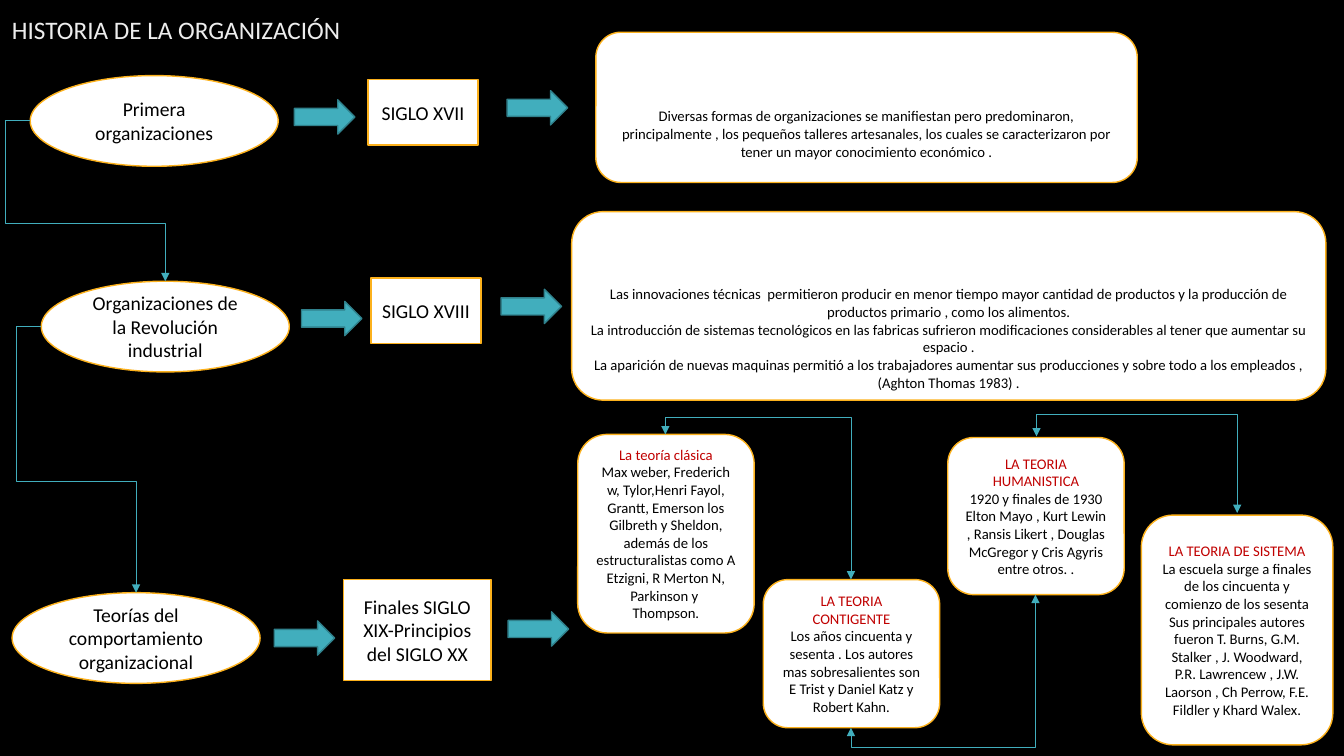
from pptx import Presentation
from pptx.dml.color import RGBColor
from pptx.enum.shapes import MSO_CONNECTOR as Link, MSO_SHAPE as Shape
from pptx.enum.text import MSO_ANCHOR as Anchor, PP_ALIGN as Align
from pptx.oxml.ns import qn
from pptx.util import Inches, Pt
from lxml.etree import SubElement

BLACK, WHITE, RED = "000000", "FFFFFF", "C00000"
AMBER, TEAL, DARK_TEAL, PALE = "FCB11C", "41AEBD", "30818C", "EDEDED"

# Ellipse, first arrow, date box, second arrow: each as left, top (dates add their size)
PERIODS = [
    ("Primera organizaciones", (0.3, 0.75), (2.92, 0.99),
     "SIGLO XVII", (3.65, 0.79, 1.09, 0.65), (5.03, 0.9)),
    ("Organizaciones de la Revolución industrial", (0.41, 2.79), (2.99, 2.99),
     "SIGLO XVIII", (3.68, 2.76, 1.09, 0.65), (4.97, 2.87)),
    ("Teorías del comportamiento organizacional", (0.12, 5.88), (2.72, 6.16),
     "Finales SIGLO XIX-Principios del SIGLO XX", (3.41, 5.75, 1.46, 1), (5.04, 6.07)),
]
# Box, space under the text, paragraphs
DESCRIPTIONS = [
    ((5.91, 0.32, 5.37, 1.49), 0.15, [
        "Diversas formas de organizaciones se manifiestan pero predominaron, principalmente , "
        "los pequeños talleres artesanales, los cuales se caracterizaron por tener un mayor "
        "conocimiento económico ."]),
    ((5.67, 2.1, 7.48, 1.87), 0, [
        "Las innovaciones técnicas  permitieron producir en menor tiempo mayor cantidad de "
        "productos y la producción de productos primario , como los alimentos.",
        "La introducción de sistemas tecnológicos en las fabricas sufrieron modificaciones "
        "considerables al tener que aumentar su espacio .",
        "La aparición de nuevas maquinas permitió a los trabajadores aumentar sus producciones "
        "y sobre todo a los empleados ,(Aghton Thomas 1983) ."]),
]
THEORIES = [
    ((5.73, 4.31, 1.75, 1.97), "La teoría clásica",
     "Max weber, Frederich w, Tylor,Henri Fayol, Grantt, Emerson los Gilbreth y Sheldon, "
     "además de los estructuralistas como A Etzigni, R Merton N, Parkinson y  Thompson."),
    ((7.57, 5.75, 1.75, 1.47), "LA TEORIA CONTIGENTE",
     "Los años cincuenta y sesenta . Los autores mas sobresalientes son E Trist y Daniel Katz "
     "y Robert Kahn."),
    ((9.4, 4.34, 1.75, 1.56), "LA TEORIA HUMANISTICA",
     "1920 y finales de 1930 Elton Mayo , Kurt Lewin , Ransis Likert , Douglas McGregor y "
     "Cris Agyris entre otros. ."),
    ((11.32, 5.11, 1.9, 2.28), "LA TEORIA DE SISTEMA",
     "La escuela surge a finales de los cincuenta y comienzo de los sesenta Sus principales "
     "autores fueron T. Burns, G.M. Stalker , J. Woodward, P.R. Lawrencew , J.W. Laorson , "
     "Ch Perrow, F.E. Fildler y Khard Walex."),
]
# Start, end, x and y of the turns
PERIOD_LINKS = [
    ((0.3, 1.19), (1.64, 2.79), 0.05, 2.22),
    ((0.41, 3.24), (1.35, 5.88), 0.16, 4.78),
]
# Start, end, y of the crossbar
THEORY_LINKS = [
    ((6.6, 4.31), (8.44, 5.75), 4.14),
    ((8.44, 7.22), (10.27, 5.9), 7.41),
    ((10.28, 4.33), (12.27, 5.09), 4.11),
]


def color(value):
    return RGBColor.from_string(value)


def add_outlined(slide, preset, box, fill, line):
    shape = slide.shapes.add_shape(preset, *map(Inches, box))
    shape.shadow.inherit = False
    shape.fill.solid()
    shape.fill.fore_color.rgb = color(fill)
    shape.line.color.rgb = color(line)
    shape.line.width = Pt(1)
    return shape


def add_card(slide, preset, box, lines, size):
    """White card with centred lines, each a pair of text and colour."""
    frame = add_outlined(slide, preset, box, WHITE, AMBER).text_frame
    frame.word_wrap = True
    frame.vertical_anchor = Anchor.MIDDLE
    for number, (text, text_color) in enumerate(lines):
        paragraph = frame.add_paragraph() if number else frame.paragraphs[0]
        paragraph.text = text
        paragraph.alignment = Align.CENTER
        paragraph.font.name = "Calibri"
        paragraph.font.size = Pt(size)
        paragraph.font.color.rgb = color(text_color)
    return frame


def add_title(slide, box):
    frame = slide.shapes.add_textbox(*map(Inches, box)).text_frame
    frame.word_wrap = True
    frame.vertical_anchor = Anchor.MIDDLE
    title = frame.paragraphs[0]
    title.text = "HISTORIA DE LA ORGANIZACIÓN"
    title.line_spacing = 0.9
    title.font.name = "Calibri"
    title.font.size = Pt(18)
    title.font.color.rgb = color(PALE)


def add_period(slide, name, name_at, first_arrow, date, date_box, second_arrow):
    add_card(slide, Shape.OVAL, (*name_at, 2.46, 0.9), [(name, BLACK)], 14)
    add_card(slide, Shape.RECTANGLE, date_box, [(date, BLACK)], 14)
    for corner in (first_arrow, second_arrow):
        add_outlined(slide, Shape.RIGHT_ARROW, (*corner, 0.6, 0.34), TEAL, DARK_TEAL)


def add_description(slide, box, space_under, texts):
    frame = add_card(slide, Shape.ROUNDED_RECTANGLE, box, [(text, BLACK) for text in texts], 10.5)
    frame.vertical_anchor = Anchor.BOTTOM
    frame.margin_bottom = Inches(space_under)


def add_theory(slide, box, heading, authors):
    add_card(slide, Shape.ROUNDED_RECTANGLE, box, [(heading, RED), (authors, BLACK)], 10.5)


def add_elbow(slide, begin, end, preset, bends, arrow_ends):
    link = slide.shapes.add_connector(Link.ELBOW, *map(Inches, (*begin, *end)))
    link.line.color.rgb = color(TEAL)
    link.line.width = Pt(0.5)
    properties = link._element.spPr
    geometry = properties.find(qn("a:prstGeom"))
    geometry.set("prst", preset)
    guides = geometry.get_or_add_avLst()
    for number, bend in enumerate(bends, 1):
        SubElement(guides, qn("a:gd"), name=f"adj{number}" if len(bends) > 1 else "adj1",
                   fmla=f"val {round(bend * 100000)}")
    for arrow_end in arrow_ends:
        SubElement(properties.find(qn("a:ln")), qn(f"a:{arrow_end}"), type="triangle")
    SubElement(properties, qn("a:effectLst"))
    return link


def link_periods(slide, begin, end, turn_x, turn_y):
    bends = ((turn_x - begin[0]) / (end[0] - begin[0]),
             (turn_y - begin[1]) / (end[1] - begin[1]))
    add_elbow(slide, begin, end, "bentConnector4", bends, ["tailEnd"])


def link_theories(slide, begin, end, crossbar):
    """Vertical-horizontal-vertical link: a sideways elbow turned by 270 degrees."""
    (x1, y1), (x2, y2) = begin, end
    middle_x, middle_y = (x1 + x2) / 2, (y1 + y2) / 2
    half_rise, half_run = (y2 - y1) / 2, (x2 - x1) / 2
    link = add_elbow(slide, (middle_x + half_rise, middle_y - half_run),
                     (middle_x - half_rise, middle_y + half_run), "bentConnector3",
                     [(crossbar - y1) / (y2 - y1)], ["headEnd", "tailEnd"])
    link._element.spPr.find(qn("a:xfrm")).set("rot", str(270 * 60000))


def main():
    deck = Presentation()
    deck.slide_width, deck.slide_height = Inches(13.33), Inches(7.5)
    slide = deck.slides.add_slide(deck.slide_layouts[6])
    slide.background.fill.solid()
    slide.background.fill.fore_color.rgb = color(BLACK)
    add_title(slide, (0.02, 0.01, 3.88, 0.61))
    for add_part, rows in ((add_description, DESCRIPTIONS), (add_period, PERIODS),
                           (add_theory, THEORIES), (link_periods, PERIOD_LINKS),
                           (link_theories, THEORY_LINKS)):
        for row in rows:
            add_part(slide, *row)
    deck.save("out.pptx")


if __name__ == "__main__":
    main()
